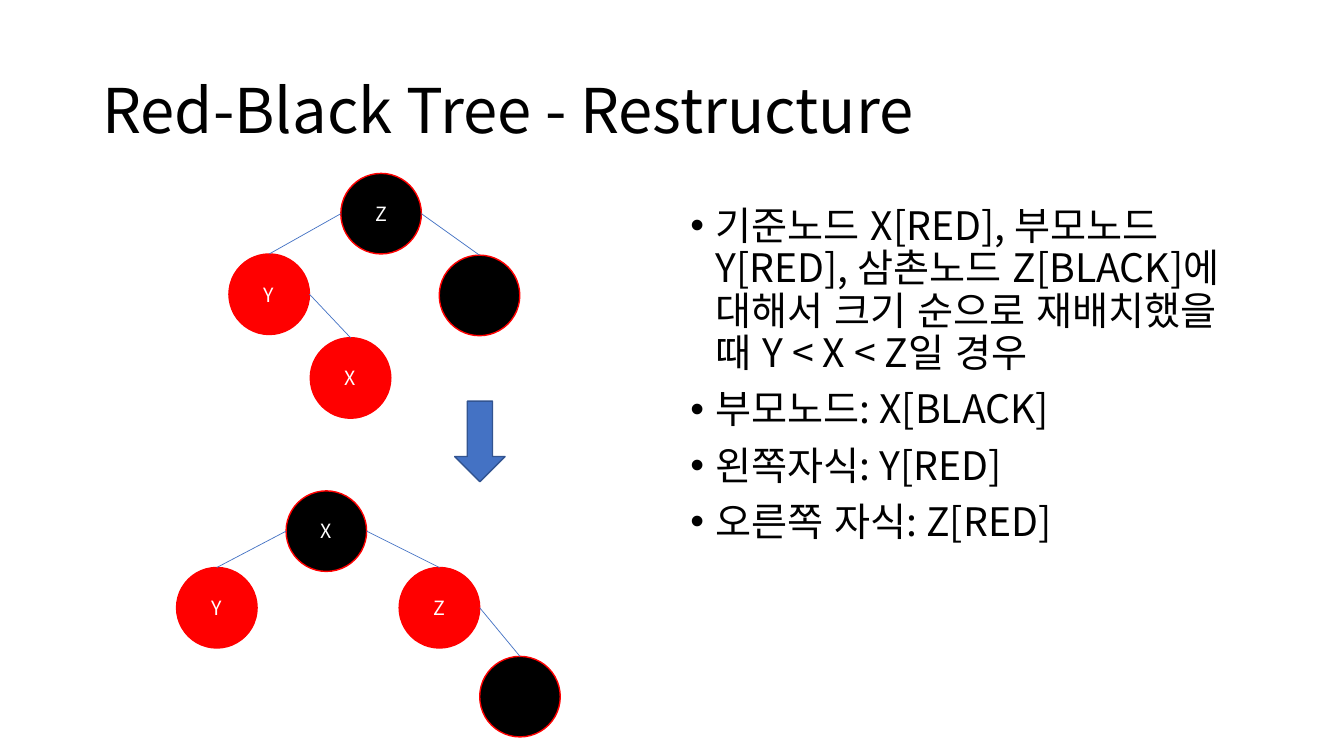
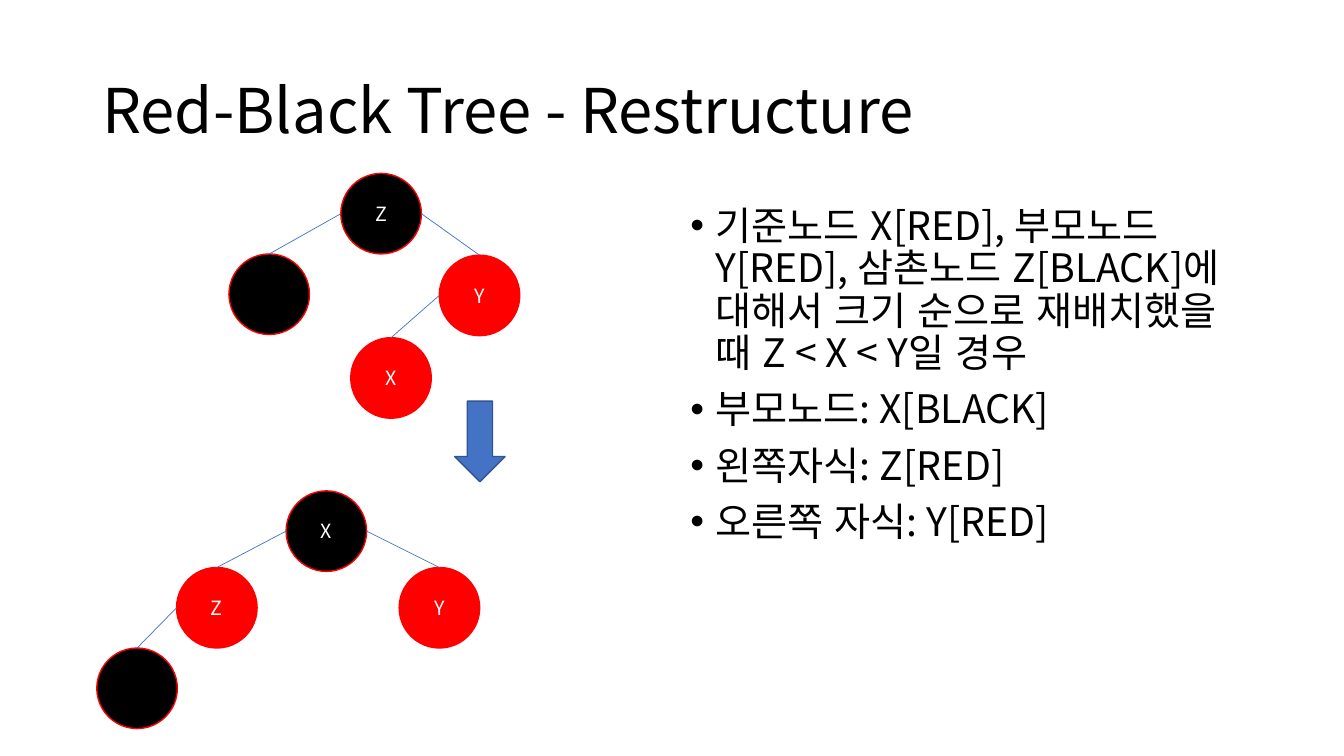
"""Two slides on restructuring a red-black tree, before and after."""
from lxml import etree
from pptx import Presentation
from pptx.dml.color import RGBColor
from pptx.enum import lang, shapes, text
from pptx.oxml import ns
from pptx.util import Cm, Pt

FONT = "Noto Sans CJK KR"
BLACK = RGBColor(0x00, 0x00, 0x00)
RED = RGBColor(0xFF, 0x00, 0x00)
WHITE = RGBColor(0xFF, 0xFF, 0xFF)
BLUE = RGBColor(0x44, 0x72, 0xC4)
DARK_BLUE = RGBColor(0x32, 0x54, 0x91)

TITLE = "Red-Black Tree - Restructure"
DIAMETER = Cm(2.03)

SLIDES = [
    {
        "order": "Y < X < Z", "left": "Y", "right": "Z",
        "before": [("Z", BLACK, 8.59, 4.37, None), ("Y", RED, 5.77, 6.4, 0),
                   ("", BLACK, 11.07, 6.43, 0), ("X", RED, 7.82, 8.51, 1)],
        "after": [("X", BLACK, 7.21, 12.37, None), ("Y", RED, 4.45, 14.3, 0),
                  ("Z", RED, 10.06, 14.3, 0), ("", BLACK, 12.09, 16.54, 2)],
    },
    {
        "order": "Z < X < Y", "left": "Z", "right": "Y",
        "before": [("Z", BLACK, 8.59, 4.37, None), ("", BLACK, 5.77, 6.4, 0),
                   ("Y", RED, 11.07, 6.43, 0), ("X", RED, 8.84, 8.51, 2)],
        "after": [("X", BLACK, 7.21, 12.37, None), ("Z", RED, 4.45, 14.3, 0),
                  ("Y", RED, 10.06, 14.3, 0), ("", BLACK, 2.44, 16.33, 1)],
    },
]


def add_run(paragraph, words, size, color, language=lang.MSO_LANGUAGE_ID.KOREAN):
    run = paragraph.add_run()
    run.text = words
    run.font.size = Pt(size)
    run.font.name = FONT
    run.font.color.rgb = color
    run.font.language_id = language
    east_asian = etree.SubElement(run.font._element, ns.qn("a:ea"))
    east_asian.set("typeface", FONT)


def add_figure(slide, preset, left, top, width, height, fill, line):
    figure = slide.shapes.add_shape(preset, left, top, width, height)
    figure.shadow.inherit = False
    figure.fill.solid()
    figure.fill.fore_color.rgb = fill
    figure.line.color.rgb = line
    figure.line.width = Pt(1)
    return figure


prs = Presentation()
prs.slide_width, prs.slide_height = Cm(33.87), Cm(19.05)

for case in SLIDES:
    slide = prs.slides.add_slide(prs.slide_layouts[6])

    title = slide.shapes.add_textbox(Cm(2.33), Cm(1.02), Cm(29.21), Cm(3.68)).text_frame
    title.word_wrap = True
    title.vertical_anchor = text.MSO_ANCHOR.MIDDLE
    title.paragraphs[0].line_spacing = 0.9
    add_run(title.paragraphs[0], TITLE, 44, BLACK, lang.MSO_LANGUAGE_ID.ENGLISH_US)

    rules = slide.shapes.add_textbox(Cm(17.15), Cm(5.08), Cm(14.4), Cm(12.09)).text_frame
    rules.word_wrap = True
    bullets = [
        "기준노드 X[RED], 부모노드 Y[RED], 삼촌노드 Z[BLACK]에 대해서 크기 순으로 "
        f"재배치했을 때 {case['order']}일 경우",
        "부모노드: X[BLACK]",
        f"왼쪽자식: {case['left']}[RED]",
        f"오른쪽 자식: {case['right']}[RED]",
    ]
    for number, words in enumerate(bullets):
        paragraph = rules.add_paragraph() if number else rules.paragraphs[0]
        paragraph.line_spacing = 0.9
        paragraph.space_before = Pt(10)
        properties = paragraph._p.get_or_add_pPr()
        properties.set("marL", str(Cm(0.64)))
        properties.set("indent", str(-Cm(0.64)))
        etree.SubElement(properties, ns.qn("a:buFont")).set("typeface", "Arial")
        etree.SubElement(properties, ns.qn("a:buChar")).set("char", "•")
        add_run(paragraph, words, 28, BLACK)

    for tree in (case["before"], case["after"]):
        nodes = []
        for label, color, left, top, parent_index in tree:
            node = add_figure(slide, shapes.MSO_SHAPE.OVAL, Cm(left), Cm(top),
                              DIAMETER, DIAMETER, color, RED)
            nodes.append(node)
            if label:
                node.text_frame.vertical_anchor = text.MSO_ANCHOR.MIDDLE
                node.text_frame.paragraphs[0].alignment = text.PP_ALIGN.CENTER
                add_run(node.text_frame.paragraphs[0], label, 14, WHITE)
            if parent_index is None:
                continue
            parent = nodes[parent_index]
            side = parent.left if node.left < parent.left else parent.left + DIAMETER
            edge = slide.shapes.add_connector(
                shapes.MSO_CONNECTOR.STRAIGHT, side, parent.top + DIAMETER // 2,
                node.left + DIAMETER // 2, node.top)
            edge.end_connect(node, 0)
            edge.line.color.rgb = BLUE
            edge.line.width = Pt(0.5)
            etree.SubElement(edge._element.spPr, ns.qn("a:effectLst"))

    add_figure(slide, shapes.MSO_SHAPE.DOWN_ARROW, Cm(11.46), Cm(10.11),
               Cm(1.27), Cm(2.03), BLUE, DARK_BLUE)

prs.save("out.pptx")
